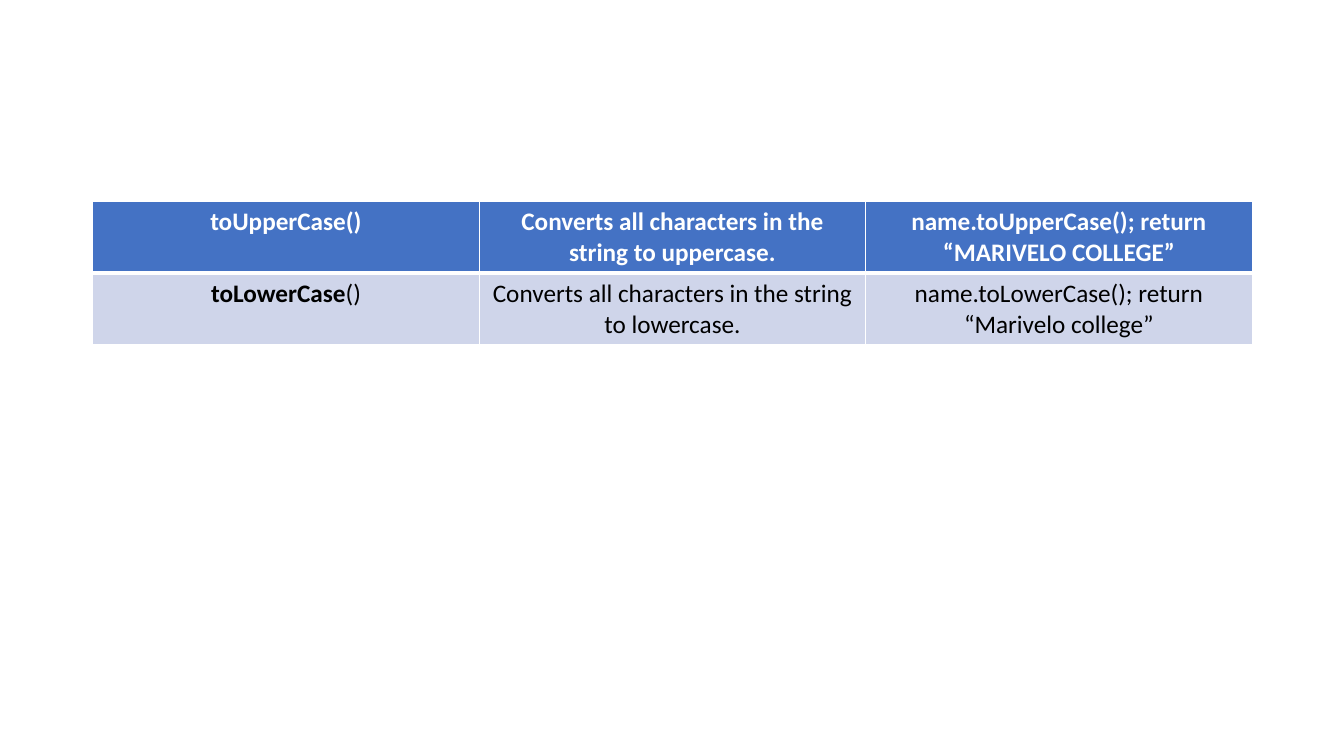
from dataclasses import dataclass

from lxml.etree import SubElement
from pptx import Presentation
from pptx.dml.color import RGBColor
from pptx.enum.text import PP_ALIGN
from pptx.oxml.ns import qn
from pptx.util import Inches, Pt


@dataclass(frozen=True)
class Theme:
    font: str = "Calibri"
    size: int = 18
    header_fill: str = "4472C4"
    body_fill: str = "CFD5EA"
    header_text: str = "FFFFFF"
    body_text: str = "000000"
    border: str = "FFFFFF"
    thin: int = 1
    thick: int = 3


theme = Theme()


def add_text(paragraph, text, *, color, bold=False):
    paragraph.alignment = PP_ALIGN.CENTER
    run = paragraph.add_run()
    run.text = text
    run.font.name = theme.font
    run.font.size = Pt(theme.size)
    run.font.bold = bold
    run.font.color.rgb = RGBColor.from_string(color)


def add_border(cell, side, width):
    """Draw one cell edge; side is L, R, T or B and width is in points."""
    properties = cell._tc.get_or_add_tcPr()
    line = SubElement(properties, qn(f"a:ln{side}"), w=str(Pt(width)))
    fill = SubElement(line, qn("a:solidFill"))
    SubElement(fill, qn("a:srgbClr"), val=theme.border)


# Each cell is a list of paragraphs, each paragraph a list of (text, bold) runs.
rows = [
    [
        [[("toUpperCase()", True)]],
        [[("Converts all characters in the string to uppercase.", True)]],
        [[("name.toUpperCase(); return", True)], [("“MARIVELO COLLEGE”", True)]],
    ],
    [
        [[("toLowerCase", True), ("()", False)]],
        [[("Converts all characters in the string to lowercase.", False)]],
        [[("name.toLowerCase(); return “Marivelo college”", False)]],
    ],
]

presentation = Presentation()
presentation.slide_width = Inches(13.33)
presentation.slide_height = Inches(7.5)
slide = presentation.slides.add_slide(presentation.slide_layouts[6])

table = slide.shapes.add_table(
    len(rows), len(rows[0]), Inches(0.92), Inches(2), Inches(11.5), Inches(1.4)
).table

for row_index, row in enumerate(rows):
    is_header = row_index == 0
    fill_color = theme.header_fill if is_header else theme.body_fill
    text_color = theme.header_text if is_header else theme.body_text
    widths = {
        "L": theme.thin,
        "R": theme.thin,
        "T": theme.thin if is_header else theme.thick,
        "B": theme.thick if is_header else theme.thin,
    }
    for column_index, paragraphs in enumerate(row):
        cell = table.cell(row_index, column_index)
        for side, width in widths.items():
            add_border(cell, side, width)
        cell.fill.solid()
        cell.fill.fore_color.rgb = RGBColor.from_string(fill_color)
        frame = cell.text_frame
        for paragraph_index, runs in enumerate(paragraphs):
            paragraph = frame.add_paragraph() if paragraph_index else frame.paragraphs[0]
            for text, bold in runs:
                add_text(paragraph, text, color=text_color, bold=bold)

presentation.save("out.pptx")
